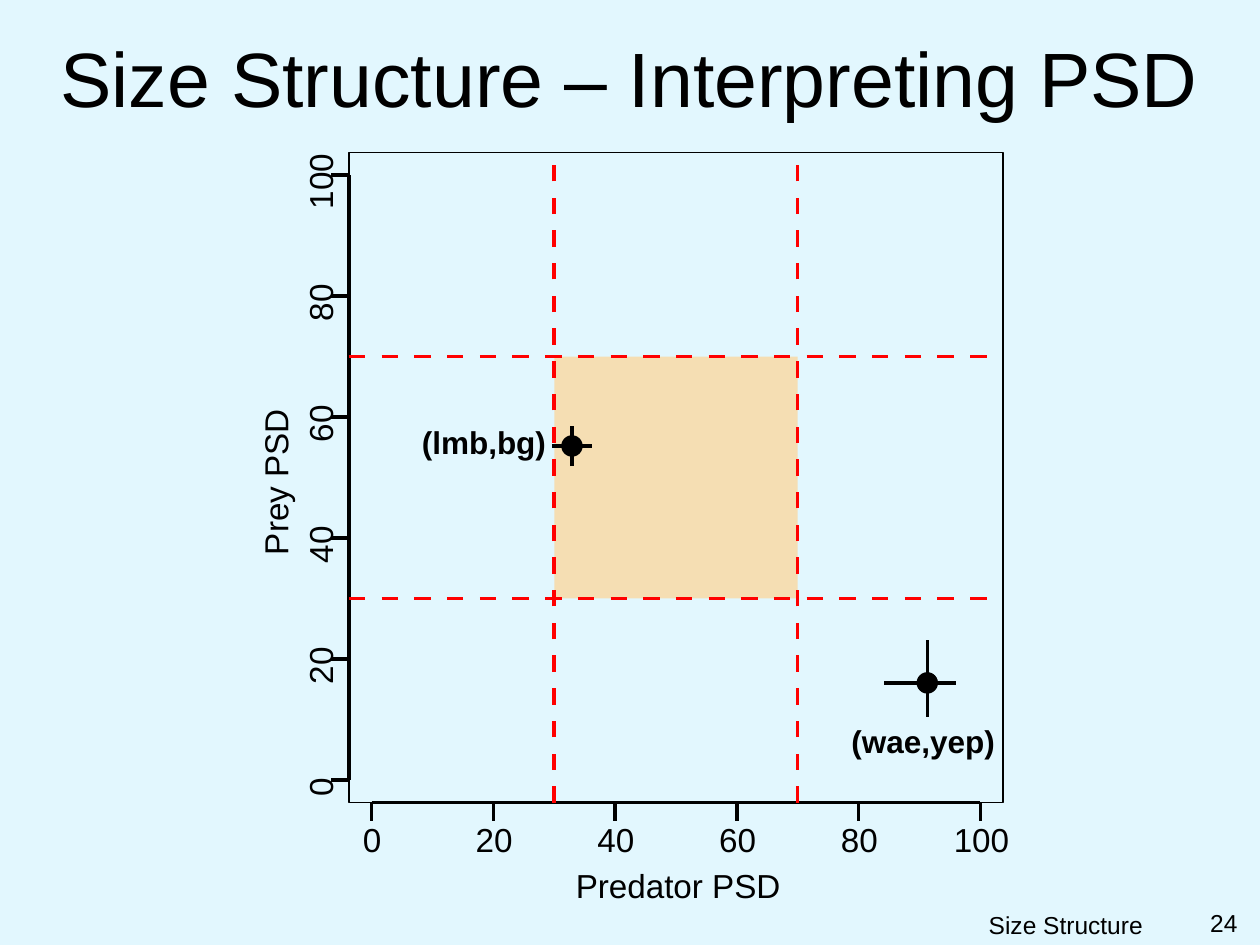
import pptx
import pptx.dml.color
import pptx.enum.shapes
import pptx.enum.text
import pptx.util
import lxml.etree

inch = pptx.util.Inches
rgb = pptx.dml.color.RGBColor.from_string
align = pptx.enum.text.PP_ALIGN
preset = pptx.enum.shapes.MSO_SHAPE
theme = {
    "font": "Arial", "ink": rgb("000000"), "limit": rgb("FF0000"),
    "balanced": rgb("F5DEB3"), "background": rgb("E2F7FE"),
    "title": 44, "axis": 19, "point": 18, "footer": 14, "hairline": 0,
}


def add_line(group, x1, y1, x2, y2, color=theme["ink"]):
    line = group.shapes.add_connector(
        pptx.enum.shapes.MSO_CONNECTOR.STRAIGHT, inch(x1), inch(y1), inch(x2), inch(y2))
    line.line.color.rgb = color
    line.line.width = pptx.util.Pt(theme["hairline"])
    lxml.etree.SubElement(line._element.spPr, pptx.oxml.ns.qn("a:effectLst"))


def add_label(group, text, box, size, inset=(0, 0), rotation=0, bold=False,
              wrap=False, alignment=align.LEFT):
    label = group.shapes.add_textbox(*map(inch, box))
    label.rotation = rotation
    frame = label.text_frame
    frame.word_wrap = wrap
    frame.margin_left = frame.margin_right = inch(inset[0])
    frame.margin_top = frame.margin_bottom = inch(inset[1])
    if not wrap:
        frame.auto_size = pptx.enum.text.MSO_AUTO_SIZE.SHAPE_TO_FIT_TEXT
    frame.paragraphs[0].alignment = alignment
    run = frame.paragraphs[0].add_run()
    run.text = text
    run.font.name = theme["font"]
    run.font.size = pptx.util.Pt(theme[size])
    run.font.bold = bold
    run.font.color.rgb = theme["ink"]


deck = pptx.Presentation()
deck.slide_width, deck.slide_height = inch(10), inch(7.5)
slide = deck.slides.add_slide(deck.slide_layouts[5])
slide.background.fill.solid()
slide.background.fill.fore_color.rgb = theme["background"]

margin = (0.1, 0.05)
for text, box in (("Size Structure", (6, 7.17, 3.17, 0.25)), ("24", (9.25, 7.16, 0.67, 0.34))):
    add_label(slide, text, box, "footer", margin, wrap=True, alignment=align.RIGHT)

title = slide.shapes.title
title.left, title.top, title.width, title.height = map(inch, (0.07, 0.13, 9.86, 0.95))
title.text_frame.vertical_anchor = pptx.enum.text.MSO_ANCHOR.MIDDLE
title.text_frame.paragraphs[0].alignment = align.CENTER
heading = title.text_frame.paragraphs[0].add_run()
heading.text = "Size Structure – Interpreting PSD"
heading.font.name = theme["font"]
heading.font.size = pptx.util.Pt(theme["title"])
heading.font.color.rgb = theme["ink"]

plot_left, plot_top, plot_width, plot_height = 2.77, 1.21, 5.19, 5.16
plot_bottom = plot_top + plot_height
psd_ticks = range(0, 101, 20)
predator = [2.95 + 4.83 * psd / 100 for psd in range(101)]
prey = [6.19 - 4.8 * psd / 100 for psd in range(101)]
low, high = 30, 70
row = 0.34

plot = slide.shapes.add_group_shape()
add_line(plot, predator[0], plot_bottom, predator[100], plot_bottom)
add_line(plot, plot_left, prey[0], plot_left, prey[100])
for psd in psd_ticks:
    digits = len(str(psd))
    width = 0.12 + 0.14 * digits
    x, y = predator[psd], prey[psd]
    add_line(plot, x, plot_bottom, x, plot_bottom + 0.15)
    add_label(plot, str(psd), (x - 0.07 * digits, 6.5, width, row), "axis")
    add_line(plot, plot_left, y, plot_left - 0.14, y)
    add_label(plot, str(psd), (2.55 - width / 2, y - row / 2, width, row), "axis", rotation=270)
add_label(plot, "Predator PSD", (4.57, 6.87, 1.72, row), "axis")
add_label(plot, "Prey PSD", (1.57, 3.61, 1.25, row), "axis", rotation=270)

border = plot.shapes.add_shape(
    preset.RECTANGLE, *map(inch, (plot_left, plot_top, plot_width, plot_height)))
border.shadow.inherit = False
border.fill.background()
border.line.color.rgb = theme["ink"]
border.line.width = pptx.util.Pt(theme["hairline"])

balanced = plot.shapes.add_shape(
    preset.RECTANGLE, inch(predator[low]), inch(prey[high]),
    inch(predator[high] - predator[low]), inch(prey[low] - prey[high]))
balanced.shadow.inherit = False
balanced.fill.solid()
balanced.fill.fore_color.rgb = theme["balanced"]
balanced.line.fill.background()

dash, dash_count = 0.13, 20
pitch = 4.93 / (dash_count - 1)
for limit in (low, high):
    for step in range(dash_count):
        x, y = plot_left + step * pitch, plot_bottom - step * pitch
        add_line(plot, x, prey[limit], x + dash, prey[limit], theme["limit"])
        add_line(plot, predator[limit], y, predator[limit], y - dash, theme["limit"])

dot = 0.16
populations = (
    ("(lmb,bg)", (3.25, 3.31, 1.19, 0.4), (4.54, 3.54), (4.38, 4.7), (3.7, 3.38)),
    ("(wae,yep)", (6.66, 5.68, 1.34, 0.4), (7.36, 5.42), (7.02, 7.59), (5.69, 5.08)),
)
for species, box, (x, y), predator_range, prey_range in populations:
    population = slide.shapes.add_group_shape()
    add_label(population, species, box, "point", margin, bold=True)
    mean = population.shapes.add_shape(
        preset.OVAL, inch(x - dot / 2), inch(y - dot / 2), inch(dot), inch(dot))
    mean.shadow.inherit = False
    mean.fill.solid()
    mean.fill.fore_color.rgb = theme["ink"]
    mean.line.color.rgb = theme["ink"]
    mean.line.width = pptx.util.Pt(theme["hairline"])
    add_line(population, predator_range[0], y, predator_range[1], y)
    add_line(population, x, prey_range[0], x, prey_range[1])

deck.save("out.pptx")
